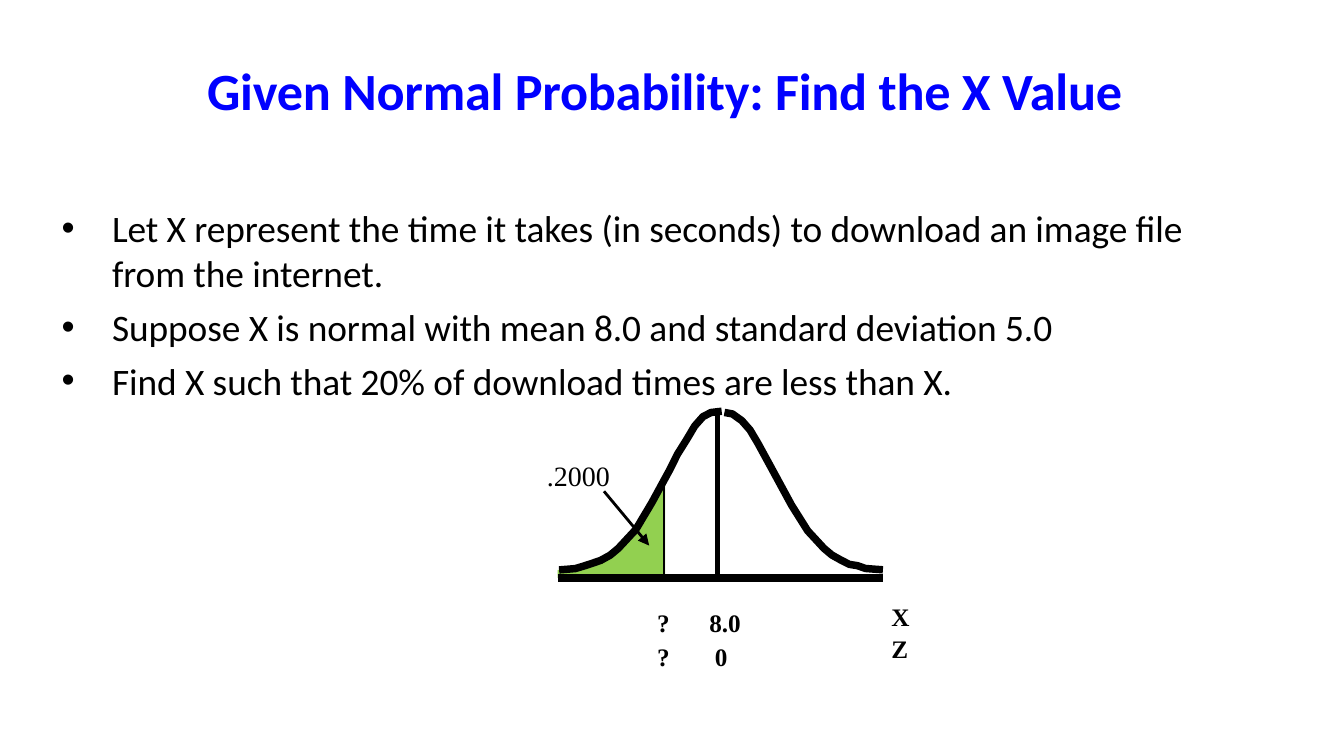
from typing import NamedTuple

from lxml.etree import SubElement
from pptx import Presentation
from pptx.dml.color import RGBColor
from pptx.enum.shapes import MSO_CONNECTOR
from pptx.enum.text import MSO_ANCHOR, MSO_AUTO_SIZE, PP_ALIGN
from pptx.oxml.ns import qn
from pptx.util import Pt

BLACK = RGBColor(0x00, 0x00, 0x00)
BLUE = RGBColor(0x00, 0x00, 0xFF)
GREEN = RGBColor(0x92, 0xD0, 0x50)
AXIS_Y = 309.6
MEAN_X = 384.5
CUTOFF_X = 355.7


class Point(NamedTuple):
    x: float
    y: float


class Box(NamedTuple):
    left: float
    top: float
    width: float
    height: float


class Label(NamedTuple):
    box: Box
    lines: tuple
    size: float
    bold: bool
    gap: float = 0
    tabs: tuple = ()


class Segment(NamedTuple):
    start: Point
    end: Point
    weight: float
    arrow: bool = False


BULLETS = (
    "Let X represent the time it takes (in seconds) to download an image file from the internet.",
    "Suppose X is normal with mean 8.0 and standard deviation 5.0",
    "Find X such that 20% of download times are less than X.",
)
LEFT_CURVE = (
    (299.5, 305.3), (308.2, 304.6), (313.2, 303.1), (317.5, 301.7),
    (321.8, 300.2), (326.9, 297.4), (331.2, 293.8), (340.6, 283.7),
    (349.2, 269.3), (358.6, 252), (362.9, 243.4), (367.9, 235.4),
    (372.2, 228.2), (376.6, 223.2), (380.9, 221), (386.6, 220.3),
)
RIGHT_CURVE = (
    (473, 305.3), (463.7, 304.6), (459.4, 303.1), (455, 302.4),
    (450.7, 300.2), (445.7, 297.4), (441.4, 293.8), (432.7, 284.4),
    (424.1, 270.7), (414.7, 253.4), (410.4, 245.5), (406.1, 237.6),
    (401.8, 230.4), (397.4, 225.4), (392.4, 221.8), (388.1, 221),
)
SHADED_TAIL = (
    (356.4, 257), (353.5, 262.1), (349.9, 267.8), (344.9, 277.2),
    (340.6, 283), (331.2, 293), (327.6, 295.9), (317.5, 301.7),
    (311.8, 303.8), (306, 304.6), (298.8, 305.3), (298.8, AXIS_Y),
    (356.4, AXIS_Y),
)
SEGMENTS = (
    Segment(Point(CUTOFF_X, 258.5), Point(CUTOFF_X, AXIS_Y), 1),
    Segment(Point(323.6, 263.2), Point(347.8, 292.3), 1.5, arrow=True),
    Segment(Point(MEAN_X, 221), Point(MEAN_X, AXIS_Y), 2.5),
    Segment(Point(298.8, AXIS_Y), Point(473, AXIS_Y), 4),
)
LABELS = (
    Label(Box(293, 245.5, 40, 18), (".2000",), 15, False),
    Label(Box(477.5, 322.3, 14, 34), ("X", "Z"), 13.5, True, gap=0.7),
    Label(Box(352, 325.5, 50, 36), ("?\t8.0", "?\t0"), 13.5, True, gap=2, tabs=(28, 31)),
)


def place(shape, box: Box) -> None:
    shape.left, shape.top, shape.width, shape.height = map(Pt, box)
    frame = shape.text_frame
    frame.margin_left = frame.margin_right = frame.margin_top = frame.margin_bottom = 0
    frame.word_wrap = True
    frame.auto_size = MSO_AUTO_SIZE.NONE
    frame.vertical_anchor = MSO_ANCHOR.TOP


def add_text(paragraph, text: str, font_name: str, size: float, color: RGBColor,
             bold: bool = False, spacing: int = 0) -> None:
    run = paragraph.add_run()
    run.text = text
    run.font.name = font_name
    run.font.size = Pt(size)
    run.font.bold = bold
    run.font.color.rgb = color
    if spacing:
        run.font._element.set("spc", str(spacing))


def paragraph_at(frame, index: int, gap: float):
    paragraph = frame.add_paragraph() if index else frame.paragraphs[0]
    paragraph.space_before = Pt(gap if index else 0)
    paragraph.alignment = PP_ALIGN.LEFT
    return paragraph


def fill_title(title) -> None:
    place(title, Box(111, 31, 500, 35))
    paragraph = paragraph_at(title.text_frame, 0, 0)
    add_text(paragraph, "Given Normal Probability: Find the X Value", "Calibri", 28, BLUE, True, -10)


def fill_body(body) -> None:
    place(body, Box(32, 110, 606, 110))
    for index, text in enumerate(BULLETS):
        paragraph = paragraph_at(body.text_frame, index, 4.8)
        properties = paragraph._p.get_or_add_pPr()
        properties.set("marL", str(Pt(28)))
        properties.set("indent", str(Pt(-27)))
        add_text(paragraph, text, "Calibri", 20, BLACK, spacing=-5)


def add_outline(slide, points: tuple, closed: bool):
    vertices = [(Pt(x), Pt(y)) for x, y in points]
    builder = slide.shapes.build_freeform(*vertices[0])
    builder.add_line_segments(vertices[1:], close=closed)
    shape = builder.convert_to_shape()
    shape.shadow.inherit = False
    return shape


def add_tail_area(slide) -> None:
    shape = add_outline(slide, SHADED_TAIL, True)
    shape.fill.solid()
    shape.fill.fore_color.rgb = GREEN
    shape.line.fill.background()


def add_curve(slide, points: tuple) -> None:
    shape = add_outline(slide, points, False)
    shape.fill.background()
    shape.line.color.rgb = BLACK
    shape.line.width = Pt(4)


def add_segment(slide, segment: Segment) -> None:
    connector = slide.shapes.add_connector(
        MSO_CONNECTOR.STRAIGHT, *map(Pt, segment.start + segment.end))
    connector.line.color.rgb = BLACK
    connector.line.width = Pt(segment.weight)
    if segment.arrow:
        SubElement(connector.line._get_or_add_ln(), qn("a:tailEnd"), type="triangle", w="med", len="med")
    SubElement(connector._element.spPr, qn("a:effectLst"))


def add_label(slide, label: Label) -> None:
    shape = slide.shapes.add_textbox(*map(Pt, label.box))
    place(shape, label.box)
    for index, text in enumerate(label.lines):
        paragraph = paragraph_at(shape.text_frame, index, label.gap)
        if label.tabs:
            tab_list = SubElement(paragraph._p.get_or_add_pPr(), qn("a:tabLst"))
            SubElement(tab_list, qn("a:tab"), pos=str(Pt(label.tabs[index])), algn="l")
        add_text(paragraph, text, "Times New Roman", label.size, BLACK, label.bold)


def main() -> None:
    presentation = Presentation()
    presentation.slide_width = Pt(720)
    presentation.slide_height = Pt(405)
    slide = presentation.slides.add_slide(presentation.slide_layouts[1])
    fill_title(slide.shapes.title)
    fill_body(slide.placeholders[1])
    add_tail_area(slide)
    for segment in SEGMENTS:
        add_segment(slide, segment)
    for curve in (LEFT_CURVE, RIGHT_CURVE):
        add_curve(slide, curve)
    for label in LABELS:
        add_label(slide, label)
    presentation.save("out.pptx")


if __name__ == "__main__":
    main()
